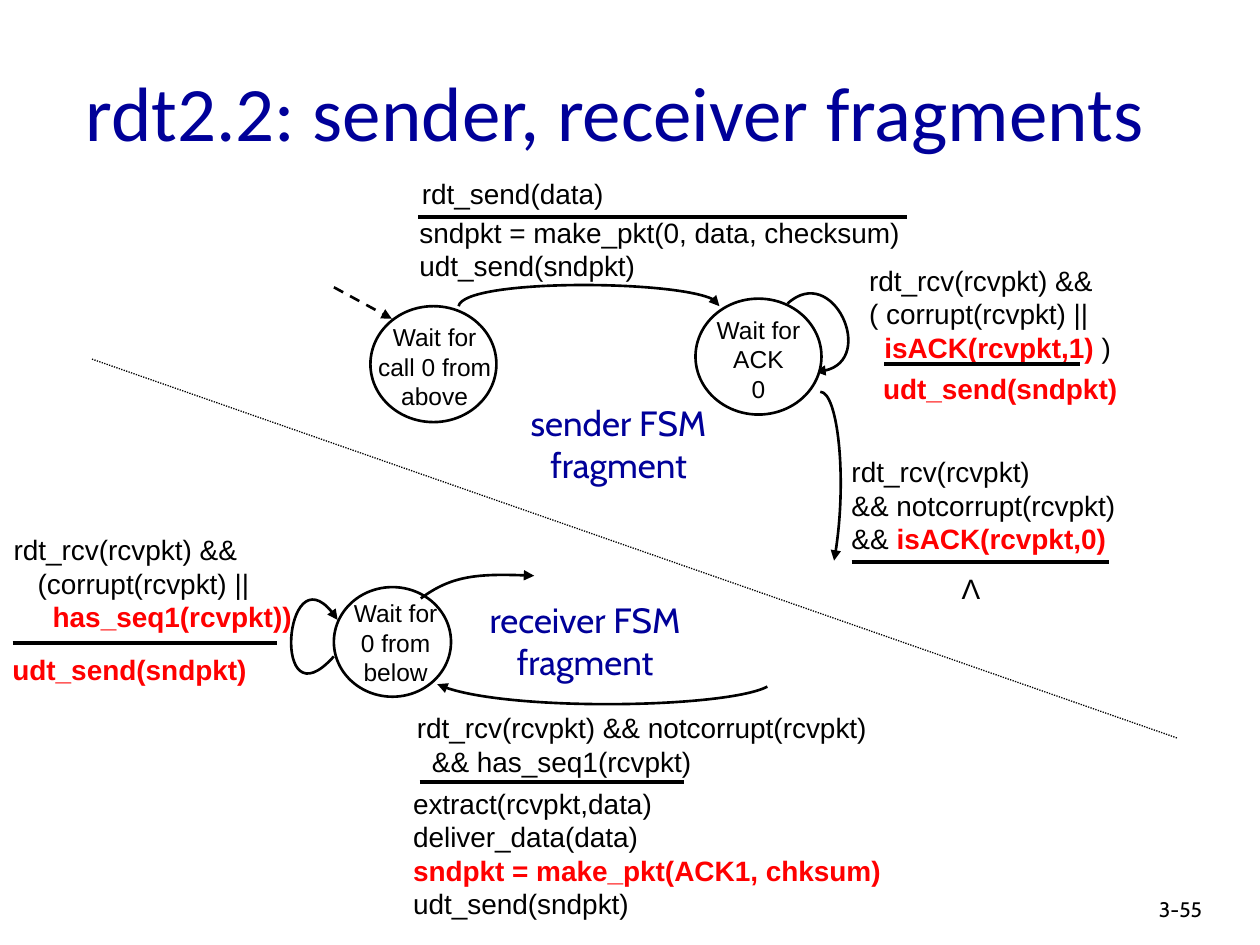
from lxml.etree import SubElement
from pptx import Presentation
from pptx.dml.color import RGBColor
from pptx.enum.dml import MSO_LINE
from pptx.enum.shapes import MSO_CONNECTOR, MSO_SHAPE
from pptx.enum.text import MSO_ANCHOR, PP_ALIGN
from pptx.oxml.ns import qn
from pptx.util import Inches, Pt

BLACK, RED, NAVY, WHITE = "000000", "FF0000", "000099", "FFFFFF"


def color(hex_code):
    """Turn a hex string into a colour."""
    return RGBColor.from_string(hex_code)


def red(text):
    """Mark a span as bold red."""
    return text, RED, True


def add_text(shapes, left, top, width, height, *lines, size=16, font="Arial",
             fill=BLACK, align=PP_ALIGN.LEFT, anchor=MSO_ANCHOR.TOP,
             wrap=True, indents=()):
    """Add a text box; a line is a string, a marked span or a list of these."""
    box = shapes.add_textbox(Inches(left), Inches(top), Inches(width), Inches(height))
    frame = box.text_frame
    frame.word_wrap = wrap
    frame.vertical_anchor = anchor
    for index, line in enumerate(lines):
        para = frame.paragraphs[0] if index == 0 else frame.add_paragraph()
        para.alignment = align
        if index < len(indents):
            para._p.get_or_add_pPr().set("marL", str(Inches(indents[index])))
        for item in line if isinstance(line, list) else [line]:
            text, hue, bold = item if isinstance(item, tuple) else (item, fill, False)
            span = para.add_run()
            span.text = text
            span.font.name = font
            span.font.size = Pt(size)
            span.font.bold = bold
            span.font.color.rgb = color(hue)
    return box


def style_line(shape, weight, dash=None, head=False, tail=False):
    """Give a shape a black outline with optional dashes and arrowheads."""
    shape.line.color.rgb = color(BLACK)
    shape.line.width = Pt(weight)
    if dash:
        shape.line.dash_style = dash
    outline = shape.line._get_or_add_ln()
    for tag, wanted in (("a:headEnd", head), ("a:tailEnd", tail)):
        if wanted:
            SubElement(outline, qn(tag), type="triangle")


def add_line(shapes, start, end, weight=2.25, **style):
    """Add a straight line between two points."""
    line = shapes.add_connector(MSO_CONNECTOR.STRAIGHT, *map(Inches, start + end))
    style_line(line, weight, **style)
    SubElement(line._element.spPr, qn("a:effectLst"))


def add_rule(shapes, left, right, top):
    """Add the bar that parts an event from its actions."""
    add_line(shapes, (left, top), (right, top))


def add_curve(shapes, *points, **arrows):
    """Add a cubic curve from a start, two control points and an end."""
    start, *rest = [tuple(map(Inches, point)) for point in points]
    builder = shapes.build_freeform(*start, scale=1.0)
    builder.add_line_segments(rest, close=False)
    curve = builder.convert_to_shape()
    curve.shadow.inherit = False
    curve.fill.background()
    style_line(curve, 1.5, **arrows)
    segments = list(curve._element.iter(qn("a:lnTo")))
    bezier = SubElement(segments[0].getparent(), qn("a:cubicBezTo"))
    for segment in segments:
        bezier.append(segment[0])
        segment.getparent().remove(segment)


def add_state(shapes, circle, label, *lines):
    """Add a state circle with its label."""
    state = shapes.add_shape(MSO_SHAPE.OVAL, *map(Inches, circle))
    state.shadow.inherit = False
    state.fill.solid()
    state.fill.fore_color.rgb = color(WHITE)
    style_line(state, 1.5)
    add_text(shapes, *label, *lines, size=14, align=PP_ALIGN.CENTER)


def add_caption(shapes, left, top, width, *lines):
    """Add the name of a state machine."""
    add_text(shapes, left, top, width, 0.77, *lines, size=20, font="Cabin", fill=NAVY,
             align=PP_ALIGN.CENTER, wrap=False)


def draw_sender(shapes):
    """Draw the sender state machine."""
    add_state(shapes, (2.94, 2.43, 1, 0.92), (2.87, 2.51, 1.16, 0.67),
              "Wait for call 0 from above")
    add_text(shapes, 3.23, 1.66, 4.07, 0.44,
             "sndpkt = make_pkt(0, data, checksum)", "udt_send(sndpkt)")
    add_text(shapes, 3.25, 1.35, 1.89, 0.31, "rdt_send(data)")
    add_rule(shapes, 3.32, 7.2, 1.72)
    add_line(shapes, (2.65, 2.28), (3.11, 2.53), 1.5, dash=MSO_LINE.DASH, tail=True)
    add_curve(shapes, (3.64, 2.43), (3.68, 2.21), (5.71, 2.22), (5.71, 2.43), tail=True)
    add_curve(shapes, (6.25, 2.41), (6.61, 2.08), (7, 2.94), (6.47, 2.95), tail=True)
    add_text(shapes, 6.91, 2.9, 2.32, 0.44, red("udt_send(sndpkt)"))
    add_text(shapes, 6.8, 2.04, 2.97, 0.62, "rdt_rcv(rcvpkt) &&", "( corrupt(rcvpkt) ||",
             [red("isACK(rcvpkt,1)"), " )"], indents=(0, 0, 0.12))
    add_rule(shapes, 7.02, 8.57, 2.89)
    add_curve(shapes, (6.62, 4.45), (6.73, 3.85), (6.65, 3.11), (6.51, 3.11), head=True)
    add_text(shapes, 6.66, 3.56, 2.64, 0.62, "rdt_rcv(rcvpkt)", "&& notcorrupt(rcvpkt)",
             ["&& ", red("isACK(rcvpkt,0)")])
    add_rule(shapes, 6.76, 8.8, 4.46)
    add_state(shapes, (5.52, 2.37, 1, 0.92), (5.44, 2.45, 1.16, 0.67), "Wait for ACK", "0")
    add_caption(shapes, 4.1, 3.14, 1.62, "sender FSM", "fragment")


def draw_receiver(shapes):
    """Draw the receiver state machine."""
    add_text(shapes, 3.21, 5.59, 4.31, 0.62, "rdt_rcv(rcvpkt) && notcorrupt(rcvpkt)",
             "&& has_seq1(rcvpkt)", indents=(0, 0.12))
    add_text(shapes, 3.18, 6.19, 4.57, 0.76, "extract(rcvpkt,data)", "deliver_data(data)",
             red("sndpkt = make_pkt(ACK1, chksum)"), "udt_send(sndpkt)")
    add_state(shapes, (2.65, 4.66, 0.93, 0.87), (2.7, 4.7, 0.88, 0.67),
              "Wait for", "0 from below")
    add_curve(shapes, (3.34, 4.75), (3.58, 4.57), (3.82, 4.55), (4.24, 4.57), tail=True)
    add_curve(shapes, (3.47, 5.43), (3.93, 5.65), (5.76, 5.62), (6.09, 5.45), head=True)
    add_rule(shapes, 3.33, 5.43, 6.21)
    add_curve(shapes, (2.65, 5.21), (2.15, 5.77), (2.26, 4.28), (2.68, 4.92), tail=True)
    add_rule(shapes, 0.1, 2.2, 5.1)
    add_text(shapes, 0.01, 4.18, 2.58, 0.7, "rdt_rcv(rcvpkt) &&", "(corrupt(rcvpkt) ||",
             red("has_seq1(rcvpkt))"), indents=(0, 0.19, 0.31))
    add_text(shapes, 0, 5.13, 2.23, 0.45, red("udt_send(sndpkt)"))
    add_caption(shapes, 3.76, 4.7, 1.77, "receiver FSM", "fragment")
    add_text(shapes, 7.5, 4.49, 0.41, 0.37, "Λ", align=PP_ALIGN.CENTER)


def main():
    """Build the slide and save it."""
    deck = Presentation()
    deck.slide_width, deck.slide_height = Inches(10), Inches(7.5)
    page = deck.slides.add_slide(deck.slide_layouts[6])
    add_text(page.shapes, 0.58, 0.25, 9.42, 1.25, "rdt2.2: sender, receiver fragments",
             size=44, font="Calibri", fill=NAVY, anchor=MSO_ANCHOR.MIDDLE)
    add_text(page.shapes, 9.1, 7.07, 0.74, 0.3, "3-55", size=12, font="Cabin")
    draw_sender(page.shapes.add_group_shape().shapes)
    add_line(page.shapes, (0.73, 2.85), (9.35, 5.86), 0.75, dash=MSO_LINE.ROUND_DOT)
    draw_receiver(page.shapes.add_group_shape().shapes)
    deck.save("out.pptx")


if __name__ == "__main__":
    main()
